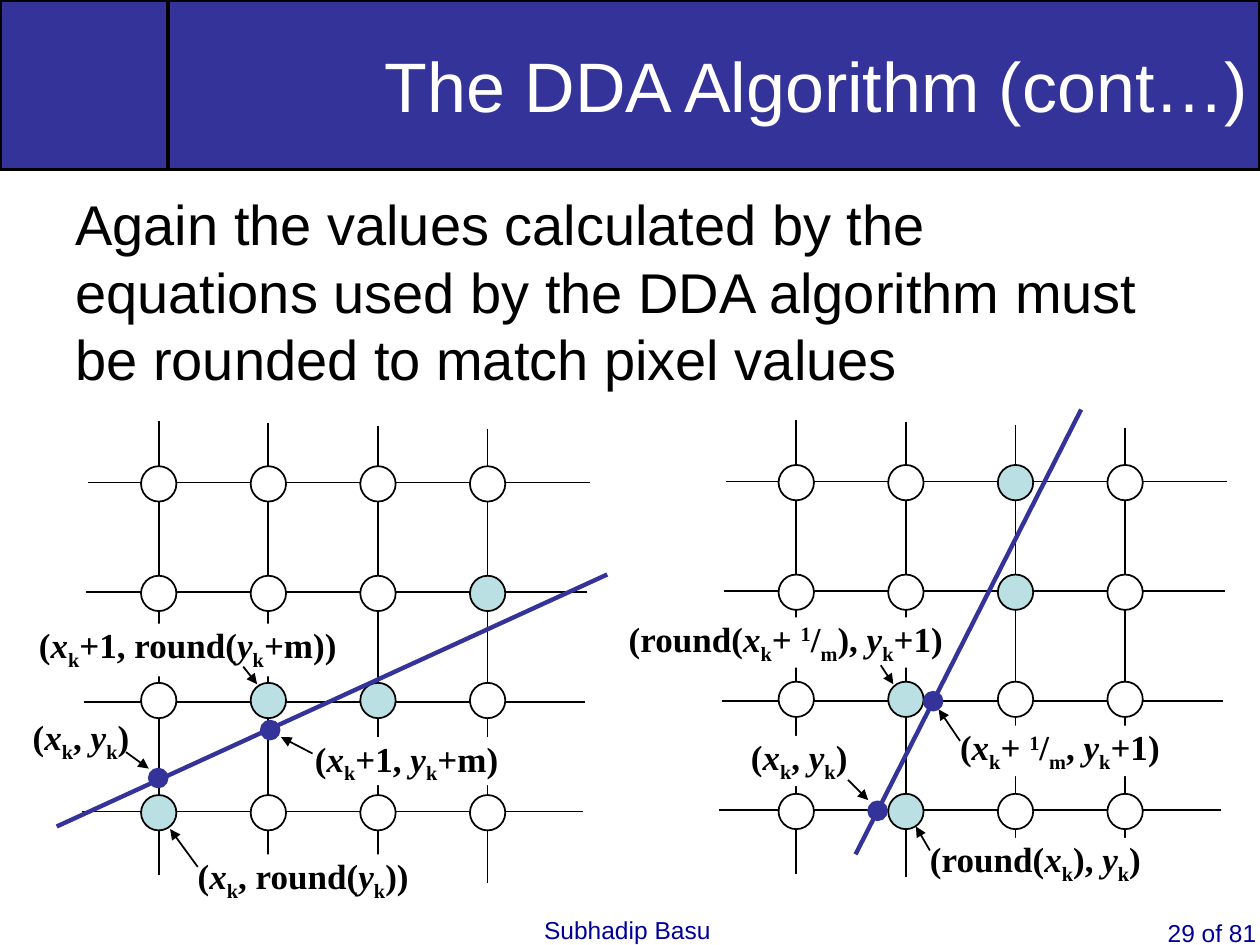
"""Build the slide on rounding in the DDA algorithm."""
import dataclasses

import pptx
import pptx.dml.color
import pptx.enum.shapes
import pptx.enum.text
import pptx.oxml
import pptx.oxml.ns
import pptx.util

Pt = pptx.util.Pt
Shape = pptx.enum.shapes.MSO_SHAPE
Align = pptx.enum.text.PP_ALIGN
Anchor = pptx.enum.text.MSO_ANCHOR


@dataclasses.dataclass(frozen=True)
class Theme:
    """Colours, fonts and type sizes."""
    navy: str = "333399"
    foot: str = "000099"
    teal: str = "BBE0E3"
    ink: str = "000000"
    white: str = "FFFFFF"
    sans: str = "Arial"
    serif: str = "Times New Roman"
    head: int = 40
    body: int = 32
    label: int = 20
    small: int = 14


@dataclasses.dataclass(frozen=True)
class Plot:
    """What one pixel grid shows, in points from its corner."""
    lit: tuple
    slope: tuple
    dots: tuple
    labels: tuple
    arrows: tuple


THEME = Theme()

GENTLE = Plot(
    lit=((3, 1), (1, 2), (2, 2), (0, 3)),
    slope=(3.6, 238.3, 318.2, 94.3),
    dots=((61.6, 210.6), (125.6, 183.2)),
    labels=(
        ("(|*x|_k|, |*y|_k|)", (-10.1, 175, 54.7, 27.4)),
        ("(|*x|_k|+1, |*y|_k|+m)", (151.2, 187.2, 105.1, 27.4)),
        ("(|*x|_k|, round(|*y|_k|))", (84.2, 254.2, 121, 36)),
        ("(|*x|_k|+1, round(|*y|_k|+m))", (-6.5, 122.4, 170.6, 30.2)),
    ),
    arrows=((43.2, 195.8, 56.2, 205.2), (149.8, 196.6, 131.8, 187.2),
            (84.2, 261.4, 68.4, 239.8), (110.2, 146.9, 118.1, 157)),
)

STEEP = Plot(
    lit=((2, 0), (2, 1), (1, 2), (1, 3)),
    slope=(224.7, 0.7, 95.8, 254.9),
    dots=((108.4, 230), (140.1, 167.4)),
    labels=(
        ("(|*x|_k|, |*y|_k|)", (36, 187.2, 55.4, 28.8)),
        ("(|*x|_k|+ |^1|/|_m|, |*y|_k|+1)", (155.5, 181.4, 114.5, 28.8)),
        ("(round(|*x|_k|), |*y|_k|)", (138.3, 245.5, 121, 30.2)),
        ("(round(|*x|_k|+ |^1|/|_m|), |*y|_k|+1)", (-33.8, 119.5, 180, 28.8)),
    ),
    arrows=((155.5, 190.1, 143.3, 172.1), (138.3, 252.7, 130.3, 239),
            (91.5, 212.4, 103, 223.9), (110.2, 146.9, 117.4, 157.7)),
)


def tint(code):
    """Turn a hex code into a colour."""
    return pptx.dml.color.RGBColor.from_string(code)


def write(shape, text, size, color=THEME.ink, font=THEME.sans, bold=False,
          align=Align.LEFT, anchor=Anchor.TOP, wrap=True, inset=(7.2, 3.6)):
    """Fill a shape with text; bars part runs, and * _ ^ mark italic, sub and super."""
    frame = shape.text_frame
    frame.word_wrap = wrap
    frame.vertical_anchor = anchor
    frame.margin_left = frame.margin_right = Pt(inset[0])
    frame.margin_top = frame.margin_bottom = Pt(inset[1])
    para = frame.paragraphs[0]
    para.alignment = align
    shifts = {"_": "-25000", "^": "30000"}
    for part in text.split("|"):
        mark = part[0] if part[0] in "*_^" else ""
        run = para.add_run()
        run.text = part[len(mark):]
        run.font.size = Pt(size)
        run.font.name = font
        run.font.bold = bold
        run.font.italic = mark == "*"
        run.font.color.rgb = tint(color)
        if mark in shifts:
            run.font._element.set("baseline", shifts[mark])


def draw(slide, kind, box, fill, line=None, width=1):
    """Add a preset shape with a flat fill."""
    shape = slide.shapes.add_shape(kind, *map(Pt, box))
    shape.shadow.inherit = False
    shape.fill.solid()
    shape.fill.fore_color.rgb = tint(fill)
    if line:
        shape.line.color.rgb = tint(line)
        shape.line.width = Pt(width)
    else:
        shape.line.fill.background()
    return shape


def disc(slide, x, y, size, fill, line):
    """Add a circle about its centre."""
    draw(slide, Shape.OVAL, (x - size / 2, y - size / 2, size, size), fill, line)


def link(slide, ends, color=THEME.ink, width=1, arrow=False):
    """Add a straight line, with an arrowhead if asked."""
    line = slide.shapes.add_connector(
        pptx.enum.shapes.MSO_CONNECTOR.STRAIGHT, *map(Pt, ends))
    line.line.color.rgb = tint(color)
    line.line.width = Pt(width)
    if arrow:
        tip = pptx.oxml.parse_xml(
            f'<a:tailEnd {pptx.oxml.ns.nsdecls("a")} type="triangle"/>')
        line.line._get_or_add_ln().append(tip)
    line._element.spPr.append(
        pptx.oxml.parse_xml(f'<a:effectLst {pptx.oxml.ns.nsdecls("a")}/>'))


def header(slide, box, text):
    """Place the square block and the title bar."""
    x, y, wide, high = box
    side = 96
    draw(slide, Shape.RECTANGLE, (x, y, side, high), THEME.navy, THEME.ink, 2)
    bar = draw(slide, Shape.RECTANGLE, (x + side, y, wide - side, high),
               THEME.navy, THEME.ink, 2)
    write(bar, text, THEME.head, THEME.white, align=Align.RIGHT, anchor=Anchor.MIDDLE)


def note(slide, box, text, size, **form):
    """Place a plain text box."""
    write(slide.shapes.add_textbox(*map(Pt, box)), text, size, **form)


def grid(slide, box, plot):
    """Place a pixel grid with its line, points and labels."""
    left, top = box[:2]
    step = 62.64

    def move(ends):
        """Shift line ends to the corner of the box."""
        return left + ends[0], top + ends[1], left + ends[2], top + ends[3]

    for i in range(4):
        x, y = 61.9 + step * i, 6.5 + 1.5 * i
        link(slide, move((x, y, x, y + 259.6)))
        x, y = 21.6 - 1.2 * i, 41.8 + step * i
        link(slide, move((x, y, x + 286.5, y)))
    for row, y in enumerate((42.5, 105.1, 166.3, 230.4)):
        for col in range(4):
            fill = THEME.teal if (col, row) in plot.lit else THEME.white
            disc(slide, left + 61.9 + step * col, top + y, 20.2, fill, THEME.ink)
    link(slide, move(plot.slope), THEME.navy, 2.5)
    for x, y in plot.dots:
        disc(slide, left + x, top + y, 10.8, THEME.navy, THEME.navy)
    for text, (x, y, wide, high) in plot.labels:
        plate = draw(slide, Shape.RECTANGLE, (left + x, top + y, wide, high), THEME.white)
        write(plate, text, THEME.label, font=THEME.serif, bold=True,
              wrap=False, inset=(0, 0))
    for ends in plot.arrows:
        link(slide, move(ends), arrow=True)


def main():
    """Build and save the slide."""
    deck = pptx.Presentation()
    deck.slide_width, deck.slide_height = Pt(720), Pt(540)
    slide = deck.slides.add_slide(deck.slide_layouts[6])
    header(slide, (0, 0, 720, 97), "The DDA Algorithm (cont…)")
    note(slide, (36, 105, 640, 126),
         "Again the values calculated by the equations used by the DDA "
         "algorithm must be rounded to match pixel values", THEME.body)
    grid(slide, (28.8, 234, 320, 300), GENTLE)
    grid(slide, (393.1, 233.3, 320, 300), STEEP)
    note(slide, (303.8, 519.1, 110, 20.9), "Subhadip Basu", THEME.small,
         color=THEME.foot, wrap=False)
    note(slide, (638, 521.3, 80, 18.7), "29 of 81", THEME.small,
         color=THEME.foot, align=Align.RIGHT, inset=(0, 3.6))
    deck.save("out.pptx")


if __name__ == "__main__":
    main()
